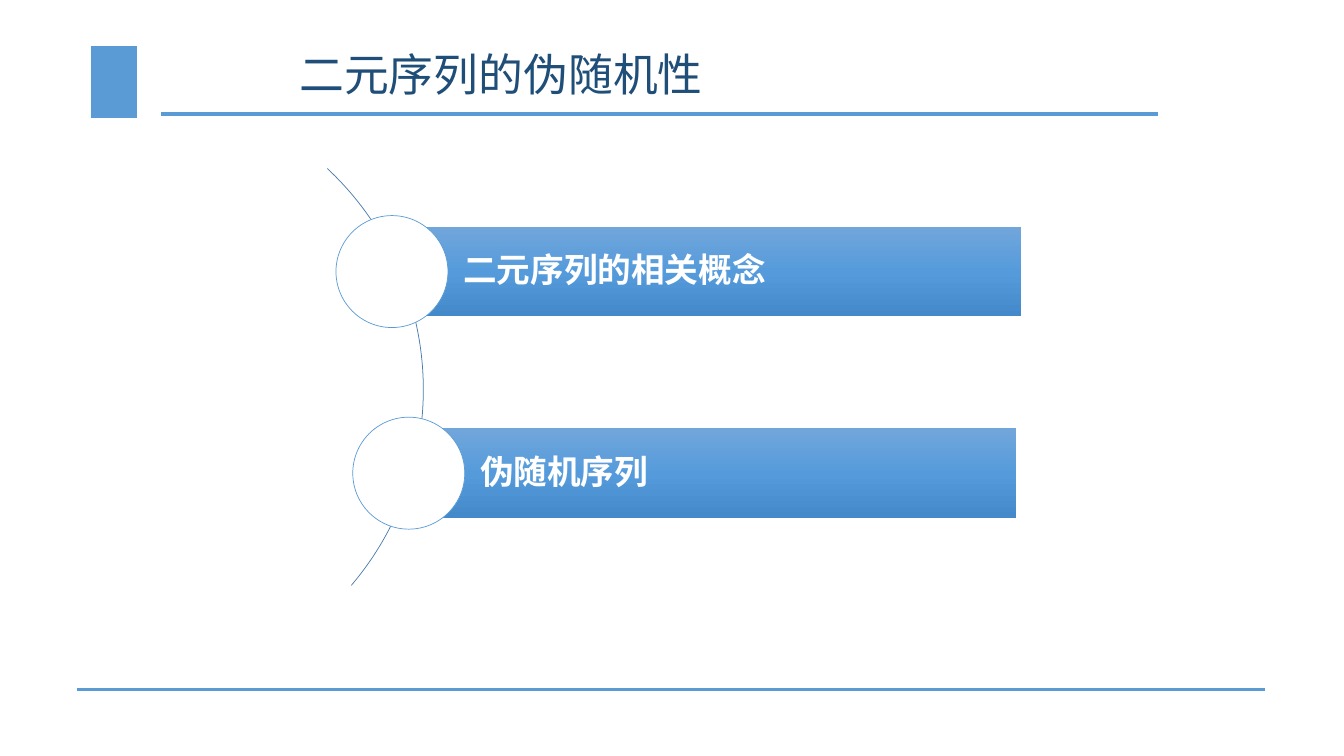
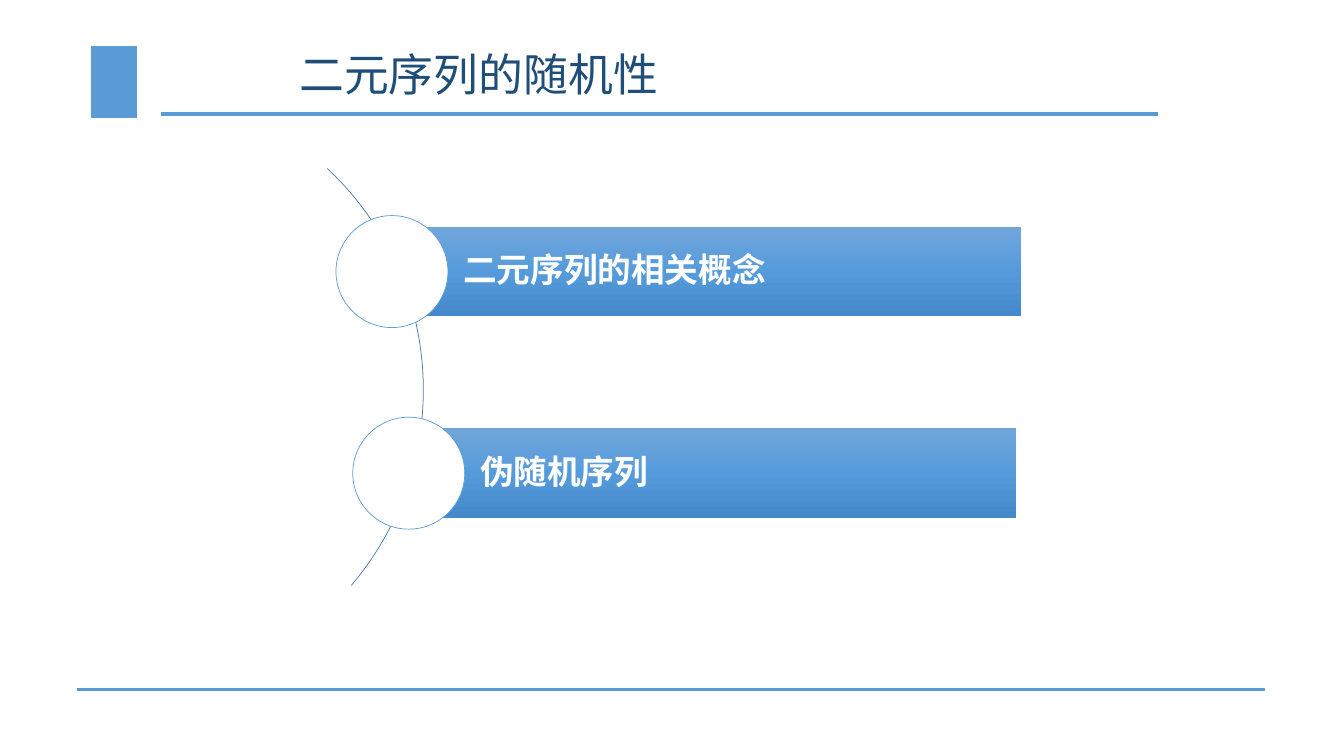
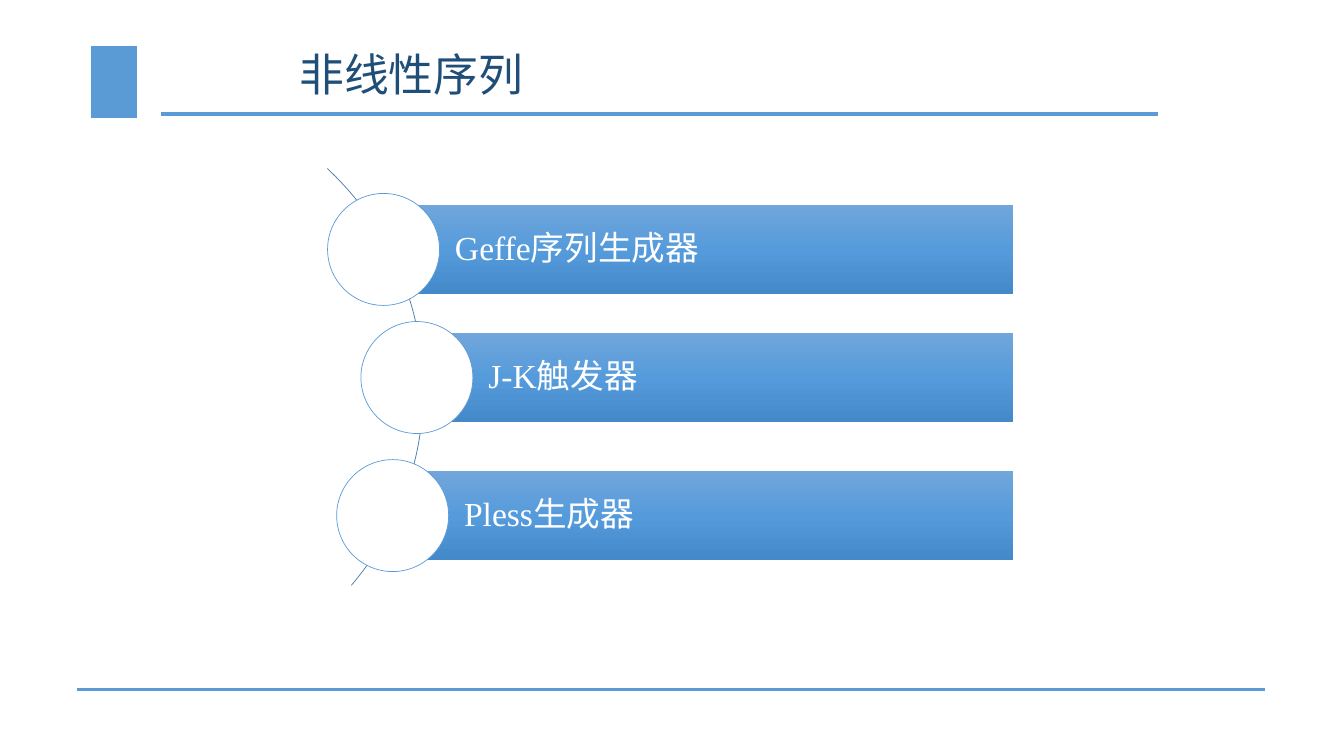
from copy import deepcopy
from dataclasses import dataclass
from typing import Any

from lxml.etree import SubElement
from pptx import Presentation
from pptx.dml.color import RGBColor
from pptx.enum.dml import MSO_PATTERN as Pat
from pptx.enum.shapes import MSO_CONNECTOR as Link, MSO_SHAPE as Form
from pptx.enum.text import MSO_ANCHOR as Anchor, MSO_AUTO_SIZE as Fit, PP_ALIGN as Align
from pptx.oxml.ns import qn
from pptx.util import Pt

BLUE, NAVY, ARC, WHITE = "5B9BD5", "1F4E79", "497CAB", "FFFFFF"
FADE = [(0, "71A6DB"), (0.5, "559BDB"), (1, "448ACA")]
SANS, SERIF = "Noto Sans CJK SC", "Times New Roman"
DISC, BAR = 80, 64

TITLE = {"name": SANS, "size": Pt(32), "bold": False}
LABEL = {"name": SERIF, "size": Pt(24)}
FRAME = {"vertical_anchor": Anchor.MIDDLE, "word_wrap": True, "auto_size": Fit.NONE}
INSET = {"margin_left": Pt(51), "margin_right": Pt(5),
         "margin_top": Pt(5), "margin_bottom": Pt(5)}
PARA = {"alignment": Align.LEFT, "line_spacing": 0.9}


@dataclass
class Item:
    """A disc at (left, top) and the bar that runs from its centre to right."""
    text: str
    left: float
    top: float
    right: float
    bold: bool = False


@dataclass
class Page:
    title: str
    items: list[Item]


BINARY = [
    Item("二元序列的相关概念", 240, 154, 729.4, True),
    Item("伪随机序列", 252, 298, 725.8, True),
]
PAGES = [
    Page("二元序列的伪随机性", BINARY),
    Page("二元序列的随机性", BINARY),
    Page("非线性序列", [
        Item("Geffe序列生成器", 234, 138.2, 723.6),
        Item("J-K触发器", 257.8, 229.7, 723.6),
        Item("Pless生成器", 240.5, 328.3, 723.6),
    ]),
]


def paint(color: Any, code: str) -> None:
    color.rgb = RGBColor.from_string(code)


def apply(obj: Any, vals: dict[str, Any]) -> None:
    for key, val in vals.items():
        setattr(obj, key, val)


def write(frame: Any, text: str, font: dict[str, Any], code: str) -> None:
    apply(frame, FRAME)
    para = frame.paragraphs[0]
    apply(para, PARA)
    run = para.add_run()
    run.text = text
    apply(run.font, font)
    paint(run.font.color, code)
    SubElement(run.font._element, qn("a:ea"), typeface=SANS)


def shape(slide: Any, form: Form, left: float, top: float,
          width: float, height: float, edge: str = "") -> Any:
    item = slide.shapes.add_shape(form, Pt(left), Pt(top), Pt(width), Pt(height))
    item.shadow.inherit = False
    if edge:
        paint(item.line.color, edge)
        item.line.width = Pt(0.5)
    else:
        item.line.fill.background()
    return item


def rule(slide: Any, left: float, right: float, top: float) -> None:
    line = slide.shapes.add_connector(Link.STRAIGHT, Pt(left), Pt(top), Pt(right), Pt(top))
    paint(line.line.color, BLUE)
    line.line.width = Pt(2.25)
    SubElement(line._element.spPr, qn("a:effectLst"))


def fade(fill: Any) -> None:
    """Fill with the three-stop gradient, running from top to bottom."""
    fill.gradient()
    fill.gradient_angle = 270
    first = fill.gradient_stops[0]._gs
    first.addnext(deepcopy(first))
    for stop, (pos, code) in zip(fill.gradient_stops, FADE):
        stop.position = pos
        paint(stop.color, code)


def header(slide: Any, text: str) -> None:
    mark = shape(slide, Form.RECTANGLE, 64.8, 32.6, 33, 51.5)
    mark.fill.patterned()
    mark.fill.pattern = Pat.DARK_HORIZONTAL
    paint(mark.fill.fore_color, BLUE)
    paint(mark.fill.back_color, WHITE)
    rule(slide, 115.2, 827.3, 81.4)
    title = slide.shapes.title
    apply(title, {"left": Pt(206.6), "top": Pt(28.8), "width": Pt(533.5), "height": Pt(52.6)})
    write(title.text_frame, text, TITLE, NAVY)


def curve(slide: Any) -> None:
    arc = shape(slide, Form.BLOCK_ARC, -128.2, 62.6, 430.6, 431.3, ARC)
    arc.fill.background()
    for spot, val in enumerate((187.766, 24.275, 0)):
        arc.adjustments[spot] = val


def entry(slide: Any, item: Item) -> None:
    start = item.left + DISC / 2
    bar = shape(slide, Form.RECTANGLE, start, item.top + (DISC - BAR) / 2,
                item.right - start, BAR)
    fade(bar.fill)
    apply(bar.text_frame, INSET)
    write(bar.text_frame, item.text, LABEL | {"bold": item.bold}, WHITE)
    disc = shape(slide, Form.OVAL, item.left, item.top, DISC, DISC, BLUE)
    disc.fill.solid()
    paint(disc.fill.fore_color, WHITE)


def main() -> None:
    deck = Presentation()
    apply(deck, {"slide_width": Pt(960), "slide_height": Pt(540)})
    layout = deck.slide_layouts.get_by_name("Title Only")
    for page in PAGES:
        slide = deck.slides.add_slide(layout)
        header(slide, page.title)
        curve(slide)
        for item in page.items:
            entry(slide, item)
        rule(slide, 54.7, 903.6, 492.5)
    deck.save("out.pptx")


if __name__ == "__main__":
    main()
